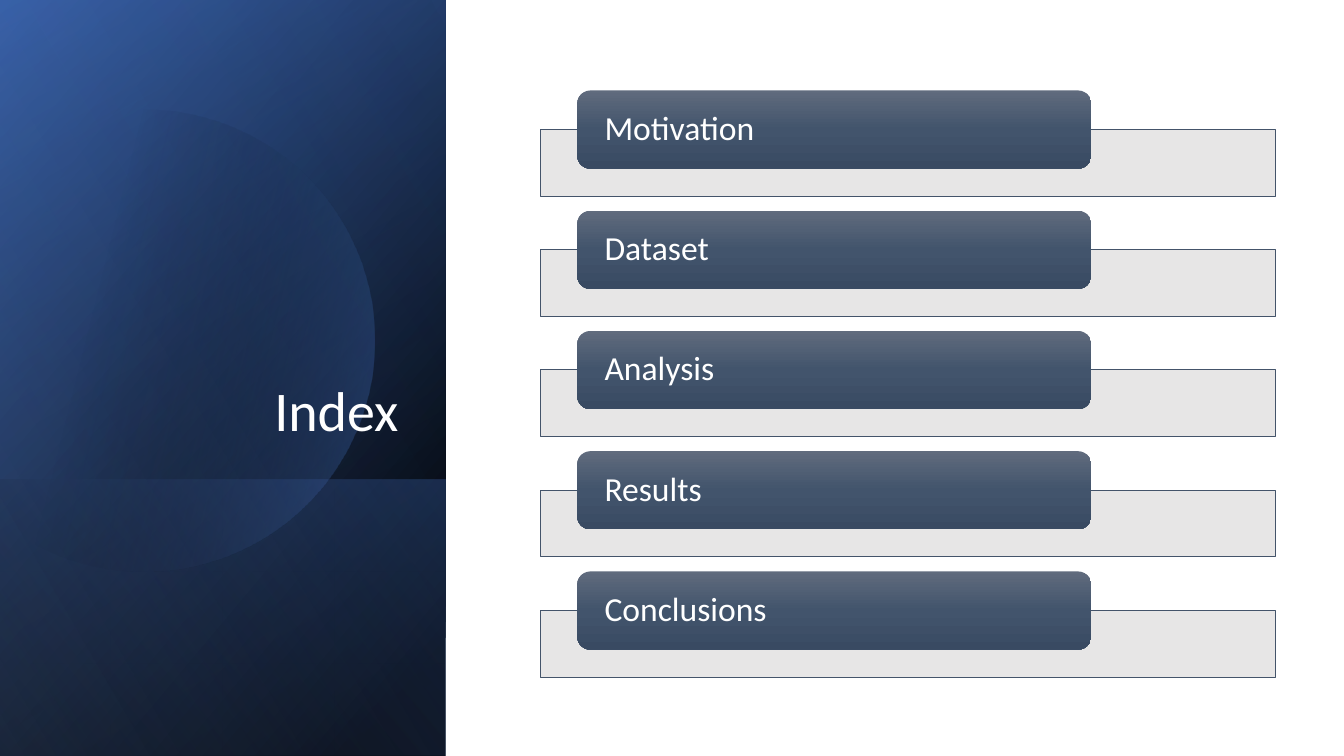
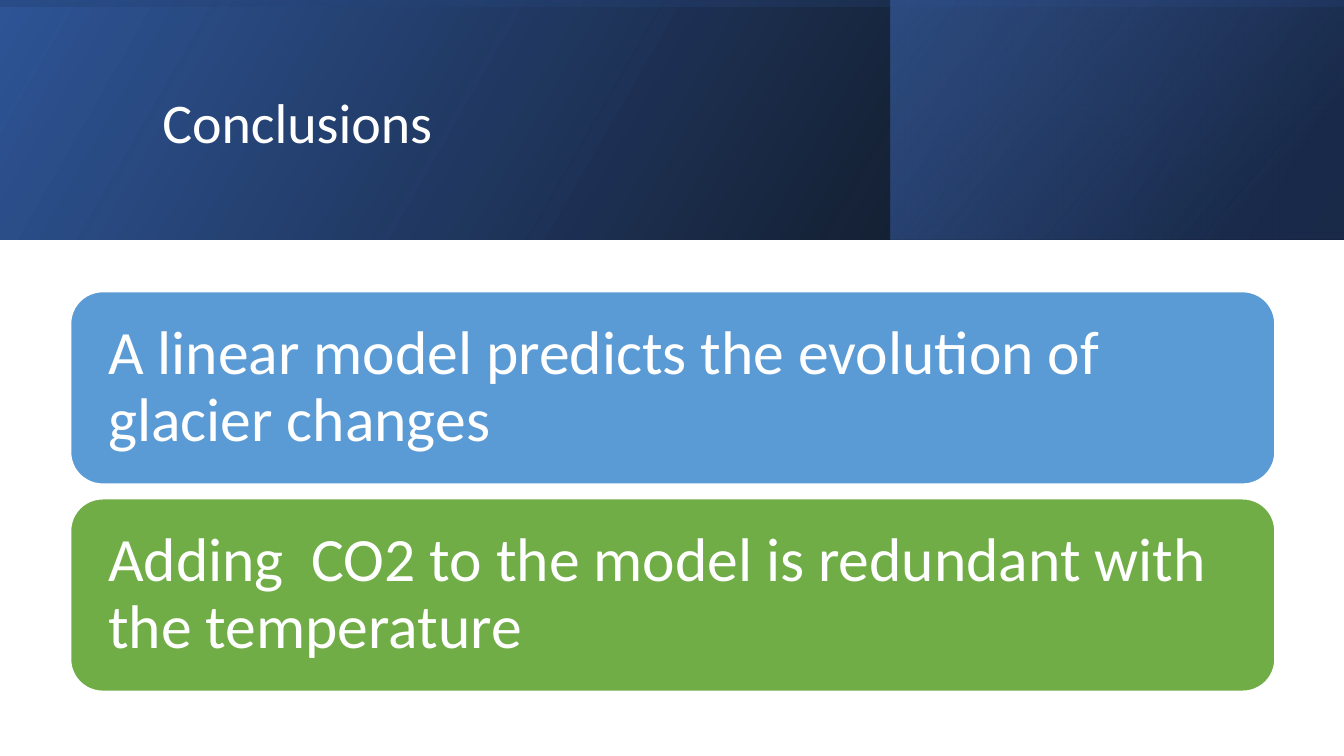
import dataclasses
import math

import lxml.etree
import pptx
import pptx.dml.color
import pptx.enum.shapes
import pptx.enum.text
import pptx.oxml.ns
import pptx.util

Cm = pptx.util.Cm
Pt = pptx.util.Pt
RGB = pptx.dml.color.RGBColor.from_string
SHAPE = pptx.enum.shapes.MSO_SHAPE
ANCHOR = pptx.enum.text.MSO_ANCHOR
ALIGN = pptx.enum.text.PP_ALIGN
qn = pptx.oxml.ns.qn


@dataclasses.dataclass(frozen=True)
class Theme:
    font: str = "Calibri"
    title_size: int = 40
    index_size: int = 24
    card_size: int = 44
    white: str = "FFFFFF"
    black: str = "000000"
    navy: str = "203864"
    deep: str = "2F5597"
    blue: str = "4472C4"
    pale: str = "8FAADC"
    bar: str = "E7E6E6"
    bar_line: str = "44546A"
    label: tuple = ((0, "606B7D"), (50, "42546C"), (100, "394A62"))
    cards: tuple = ("5B9BD5", "70AD47")


THEME = Theme()
WIDTH, HEIGHT = 33.87, 19.05


def write(tf, text, *, size, align=ALIGN.LEFT, anchor=ANCHOR.MIDDLE,
          inset=(0.25, 0.13)):
    """Put one formatted paragraph in a text frame."""
    tf.word_wrap = True
    tf.vertical_anchor = anchor
    tf.margin_left = tf.margin_right = Cm(inset[0])
    tf.margin_top = tf.margin_bottom = Cm(inset[1])
    p = tf.paragraphs[0]
    p.alignment = align
    p.line_spacing = 0.9
    r = p.add_run()
    r.text = text
    r.font.name = THEME.font
    r.font.size = Pt(size)
    r.font.color.rgb = RGB(THEME.white)


class Deck:
    """Holds the presentation, its style and the current slide."""

    def __init__(self):
        self.prs = pptx.Presentation()
        self.prs.slide_width = Cm(WIDTH)
        self.prs.slide_height = Cm(HEIGHT)
        self.s = None

    def new_slide(self):
        self.s = self.prs.slides.add_slide(self.prs.slide_layouts[6])

    def paint(self, sp, fill, angle=0, line=None, line_width=1):
        """Fill with a colour, or with (position, colour, opacity) stops."""
        sp.shadow.inherit = False
        if isinstance(fill, str):
            sp.fill.solid()
            sp.fill.fore_color.rgb = RGB(fill)
        else:
            grad = lxml.etree.Element(qn("a:gradFill"), rotWithShape="1")
            stops = lxml.etree.SubElement(grad, qn("a:gsLst"))
            for pos, colour, *opacity in fill:
                gs = lxml.etree.SubElement(stops, qn("a:gs"), pos=str(pos * 1000))
                clr = lxml.etree.SubElement(gs, qn("a:srgbClr"), val=colour)
                for a in opacity:
                    lxml.etree.SubElement(clr, qn("a:alpha"), val=str(a * 1000))
            lxml.etree.SubElement(grad, qn("a:lin"), ang=str(angle * 60000),
                                  scaled="0")
            sp._element.spPr.insert(2, grad)  # after the frame and geometry
        if line:
            sp.line.color.rgb = RGB(line)
            sp.line.width = Pt(line_width)
        else:
            sp.line.fill.background()

    def box(self, x, y, w, h, fill, *, kind=SHAPE.RECTANGLE, **style):
        sp = self.s.shapes.add_shape(kind, Cm(x), Cm(y), Cm(w), Cm(h))
        self.paint(sp, fill, **style)
        return sp

    def panel(self, x, y, w, h, stops, angle, turn=0):
        """Mirrored gradient panel; x, y, w, h is the area seen after a turn."""
        if turn:
            x, y, w, h = x + (w - h) / 2, y + (h - w) / 2, h, w
        sp = self.box(x, y, w, h, stops, angle=angle)
        sp.rotation = turn
        sp._element.spPr.get_or_add_xfrm().set("flipH", "1")

    def cut_disc(self, cx, cy, radius, stops, angle, steps=120):
        """Disc cut off by the left edge of the slide."""
        end = math.acos(-cx / radius)
        turns = [end * (2 * i / steps - 1) for i in range(steps + 1)]
        points = [(Cm(max(0, cx + radius * math.cos(t))),
                   Cm(cy + radius * math.sin(t))) for t in turns]
        fb = self.s.shapes.build_freeform(*points[0])
        fb.add_line_segments(points[1:], close=True)
        self.paint(fb.convert_to_shape(), stops, angle)

    def title(self, text, x, y, w, h, **style):
        tb = self.s.shapes.add_textbox(Cm(x), Cm(y), Cm(w), Cm(h))
        write(tb.text_frame, text, size=THEME.title_size, **style)

    def index_row(self, text, y):
        self.box(13.61, y + 0.98, 18.52, 1.68, THEME.bar,
                 line=THEME.bar_line, line_width=0.5)
        sp = self.box(14.55, y, 12.95, 1.97, THEME.label, angle=90,
                      kind=SHAPE.ROUNDED_RECTANGLE)
        write(sp.text_frame, text, size=THEME.index_size, inset=(0.59, 0))

    def card(self, text, y, colour):
        sp = self.box(1.78, y, 30.35, 4.85, colour, line=THEME.white,
                      kind=SHAPE.ROUNDED_RECTANGLE)
        write(sp.text_frame, text, size=THEME.card_size, inset=(0.71, 0.71))


def index_slide(deck):
    deck.new_slide()
    t = THEME
    # Side panel
    side = 11.23
    deck.panel(0, 0, side, HEIGHT, [(8, t.black), (100, t.deep)], 50, 90)
    deck.panel(0, 0, side, HEIGHT, [(0, t.black, 0), (99, t.blue, 46)], 30, 90)
    deck.panel(0, 12.09, side, 6.96,
               [(2, t.blue, 29), (100, t.black, 30)], 130, 90)
    deck.cut_disc(3.63, 8.58, 5.82, [(29, t.black, 0), (100, t.blue, 43)], 14)
    deck.panel(0, 0, side, HEIGHT, [(0, t.black, 0), (99, t.pale, 11)], 120, 90)
    deck.title("Index", 1.63, 4.67, 8.66, 6.65,
               align=ALIGN.RIGHT, anchor=ANCHOR.BOTTOM)
    # Index rows
    topics = ["Motivation", "Dataset", "Analysis", "Results", "Conclusions"]
    for i, topic in enumerate(topics):
        deck.index_row(topic, 2.28 + 3.03 * i)


def conclusions_slide(deck):
    deck.new_slide()
    t = THEME
    # Title band
    band = 6.03
    deck.panel(0, 0, WIDTH, band, [(0, t.black, 96), (100, t.deep)], 330)
    deck.panel(22.45, 0, WIDTH - 22.45, band,
               [(19, t.navy, 68), (100, t.blue, 48)], 320)
    deck.panel(0, 0, WIDTH, band, [(23, t.deep, 16), (99, t.black, 45)], 350, 270)
    deck.title("Conclusions", 3.84, 0.97, 27, 4.37)
    # Conclusion cards
    findings = ["A linear model predicts the evolution of glacier changes",
                "Adding  CO2 to the model is redundant with the temperature"]
    for i, (finding, colour) in enumerate(zip(findings, t.cards)):
        deck.card(finding, 7.35 + 5.22 * i, colour)


def main():
    deck = Deck()
    index_slide(deck)
    conclusions_slide(deck)
    deck.prs.save("out.pptx")


if __name__ == "__main__":
    main()
